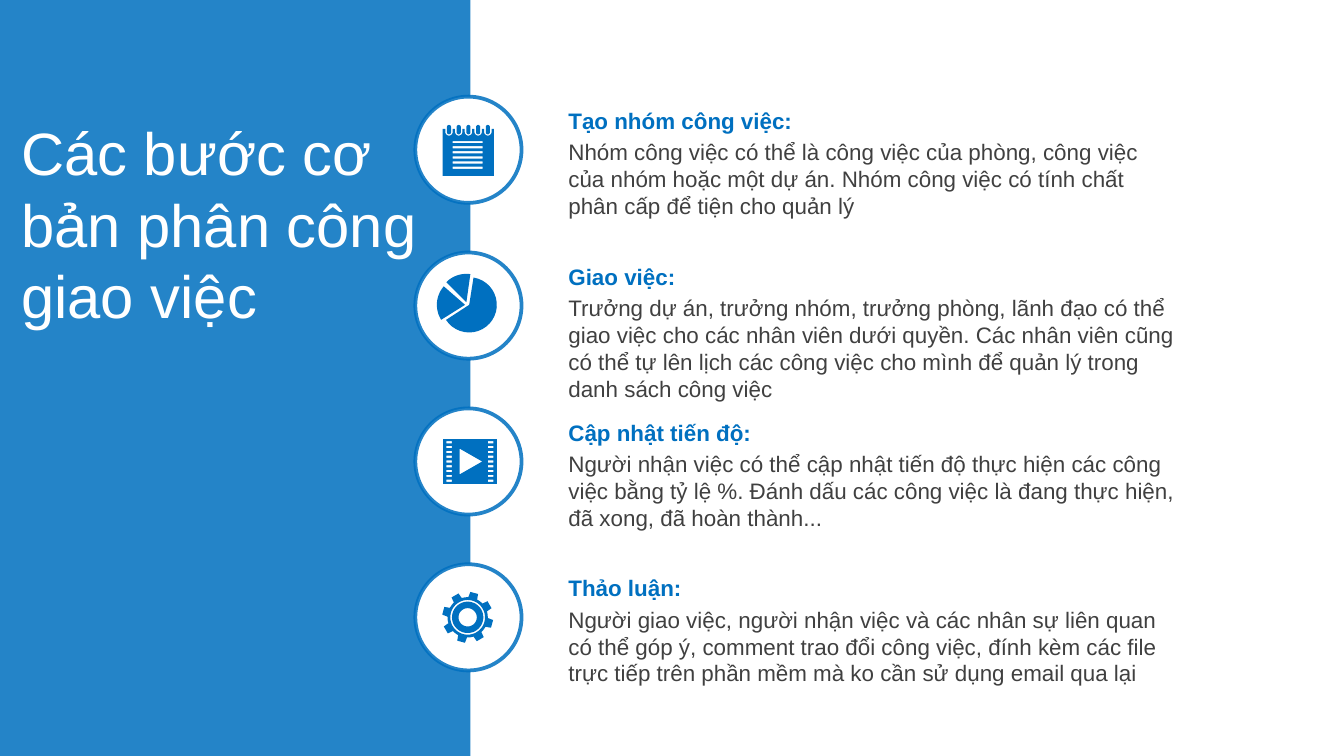
from dataclasses import dataclass
from math import cos, radians, sin

from lxml.etree import SubElement
from pptx import Presentation
from pptx.dml.color import RGBColor
from pptx.enum.shapes import MSO_SHAPE as Preset
from pptx.enum.text import MSO_ANCHOR as Anchor
from pptx.oxml.ns import qn
from pptx.util import Pt


@dataclass(frozen=True)
class Theme:
    """Colours, font and type sizes of the deck."""
    accent: RGBColor = RGBColor(0x00, 0x70, 0xC0)
    body: RGBColor = RGBColor(0x40, 0x40, 0x40)
    white: RGBColor = RGBColor(0xFF, 0xFF, 0xFF)
    font: str = "Arial"
    title_size: int = 32
    text_size: int = 12


THEME = Theme()
TITLE = ["Các bước cơ", "bản phân công giao việc"]
TITLE_STYLE = {"name": THEME.font, "size": Pt(THEME.title_size)}
BODY_STYLE = {"name": THEME.font, "size": Pt(THEME.text_size)}
HEADING_STYLE = {**BODY_STYLE, "bold": True}


def set_alpha(fill, percent):
    """Make a solid fill partly transparent."""
    color = fill._xPr.find(qn("a:solidFill"))[0]
    SubElement(color, qn("a:alpha"), val=str(percent * 1000))


def add_preset(page, preset, box, color):
    """Place a flat preset shape without outline in the box."""
    shape = page.shapes.add_shape(preset, *map(Pt, box))
    shape.shadow.inherit = False
    shape.fill.solid()
    shape.fill.fore_color.rgb = color
    shape.line.fill.background()
    return shape


def add_text(page, box, lines, style, color, anchor=Anchor.TOP):
    """Place a wrapped text box with one paragraph per line."""
    frame = page.shapes.add_textbox(*map(Pt, box)).text_frame
    frame.word_wrap = True
    frame.vertical_anchor = anchor
    for index, line in enumerate(lines):
        para = frame.add_paragraph() if index else frame.paragraphs[0]
        span = para.add_run()
        span.text = line
        for name, value in style.items():
            setattr(span.font, name, value)
        span.font.color.rgb = color


def arc(x, y, radius, start, end, steps=24):
    """Return points along a circular arc, angles in degrees."""
    angles = [radians(start + (end - start) * i / steps) for i in range(steps + 1)]
    return [(x + radius * cos(a), y + radius * sin(a)) for a in angles]


def bar(x, y, width, height):
    """Return the corners of a rectangle centred on x, y."""
    right, bottom = width / 2, height / 2
    return [(x - right, y - bottom), (x + right, y - bottom),
            (x + right, y + bottom), (x - right, y + bottom)]


def notepad_outlines():
    """Return a ring-bound sheet with ruled lines."""
    rings = [5.2 * i for i in range(-2, 3)]
    sheet = [(-13.8, -11.2)]
    for x in rings:
        sheet += [(x - 2, -11.2), *arc(x, -9.6, 2, 180, 0), (x + 2, -11.2)]
    sheet += [(13.6, -11.2), (13.6, 14), (-13.8, 14)]
    binding = [arc(x, -12.2, 1.1, 180, 360) + arc(x, -9.4, 1.1, 0, 180) for x in rings]
    rules = [bar(-0.4, -4.1 + 2.74 * i, 16, 1.2) for i in range(6)]
    return [sheet, *binding, *rules]


def pie_outlines():
    """Return three separated pie slices."""
    slices = [(0.4, -0.4, 14.8, -81, 147), (-1.8, -0.4, 15.1, 148, 221),
              (-1.1, -1.8, 15.2, 225, 278)]
    return [[(x, y), *arc(x, y, radius, start, end)]
            for x, y, radius, start, end in slices]


def film_outlines():
    """Return a film frame with perforations and a play triangle."""
    holes = [bar(x, 2.57 * row, 3, 1.2) for x in (-10.3, 11.9) for row in range(-4, 5)]
    return [bar(0.9, 0, 28.8, 24), [(-4.7, -6.9), (-4.7, 6.9), (7.4, 0)], *holes]


def gear_outlines():
    """Return an eight-toothed gear with concentric rings."""
    teeth = []
    for angle in range(15, 375, 45):
        teeth += arc(-0.4, 0, 10.8, angle - 32, angle - 13, 4)
        teeth += arc(-0.4, 0, 13.7, angle - 9, angle + 9, 1)
    return [teeth, *(arc(-0.4, 0, radius, 0, 360, 48) for radius in (9.3, 8.4, 4.9))]


def add_icon(page, box, outlines):
    """Draw outlines as one flat shape around the centre of the box."""
    left, top, width, height = box
    builder = None
    for outline in outlines:
        points = [(Pt(left + width / 2 + x), Pt(top + height / 2 + y)) for x, y in outline]
        if builder is None:
            builder = page.shapes.build_freeform(*points[0])
        else:
            builder.move_to(*points[0])
        builder.add_line_segments(points[1:], close=True)
    icon = builder.convert_to_shape()
    icon.shadow.inherit = False
    icon.fill.solid()
    icon.fill.fore_color.rgb = THEME.accent
    icon.line.fill.background()


def add_title_panel(page, box):
    """Place the tinted side panel and its title."""
    left, top, width, height = box
    set_alpha(add_preset(page, Preset.RECTANGLE, box, THEME.accent).fill, 86)
    title_box = (left + 4.3, top + 74.2, width - 19.4, 90.7)
    add_text(page, title_box, TITLE, TITLE_STYLE, THEME.white, Anchor.MIDDLE)


def add_step(page, box, heading, body, outlines):
    """Place a badge with its icon, heading and description."""
    left, top, width, size = box
    badge_box = (left, top, size, size)
    badge = add_preset(page, Preset.OVAL, badge_box, THEME.white)
    badge.line.width = Pt(2)
    badge.line.color.rgb = THEME.accent
    set_alpha(badge.line.fill, 85)
    add_icon(page, badge_box, outlines)
    text_left, text_width = left + 74.9, width - 74.9
    add_text(page, (text_left, top + 18.7, text_width, 51), [body], BODY_STYLE, THEME.body)
    add_text(page, (text_left, top + 2, text_width, 21.6), [heading], HEADING_STYLE, THEME.accent)


STEPS = [
    ("Tạo nhóm công việc:",
     "Nhóm công việc có thể là công việc của phòng, công việc của nhóm hoặc một dự án. "
     "Nhóm công việc có tính chất phân cấp để tiện cho quản lý", notepad_outlines()),
    ("Giao việc:",
     "Trưởng dự án, trưởng nhóm, trưởng phòng, lãnh đạo có thể giao việc cho các nhân viên "
     "dưới quyền. Các nhân viên cũng có thể tự lên lịch các công việc cho mình để quản lý "
     "trong danh sách công việc", pie_outlines()),
    ("Cập nhật tiến độ:",
     "Người nhận việc có thể cập nhật tiến độ thực hiện các công việc bằng tỷ lệ %. "
     "Đánh dấu các công việc là đang thực hiện, đã xong, đã hoàn thành...", film_outlines()),
    ("Thảo luận:",
     "Người giao việc, người nhận việc và các nhân sự liên quan có thể góp ý, comment trao "
     "đổi công việc, đính kèm các file trực tiếp trên phần mềm mà ko cần sử dụng email qua lại",
     gear_outlines()),
]


def main():
    """Build and save the deck."""
    deck = Presentation()
    deck.slide_width, deck.slide_height = Pt(720), Pt(405)
    page = deck.slides.add_slide(deck.slide_layouts[6])
    add_title_panel(page, (0, 0, 252, 405))
    for index, step in enumerate(STEPS):
        add_step(page, (222.5, 51.8 + 83.5 * index, 414.7, 56.9), *step)
    deck.save("out.pptx")


if __name__ == "__main__":
    main()
